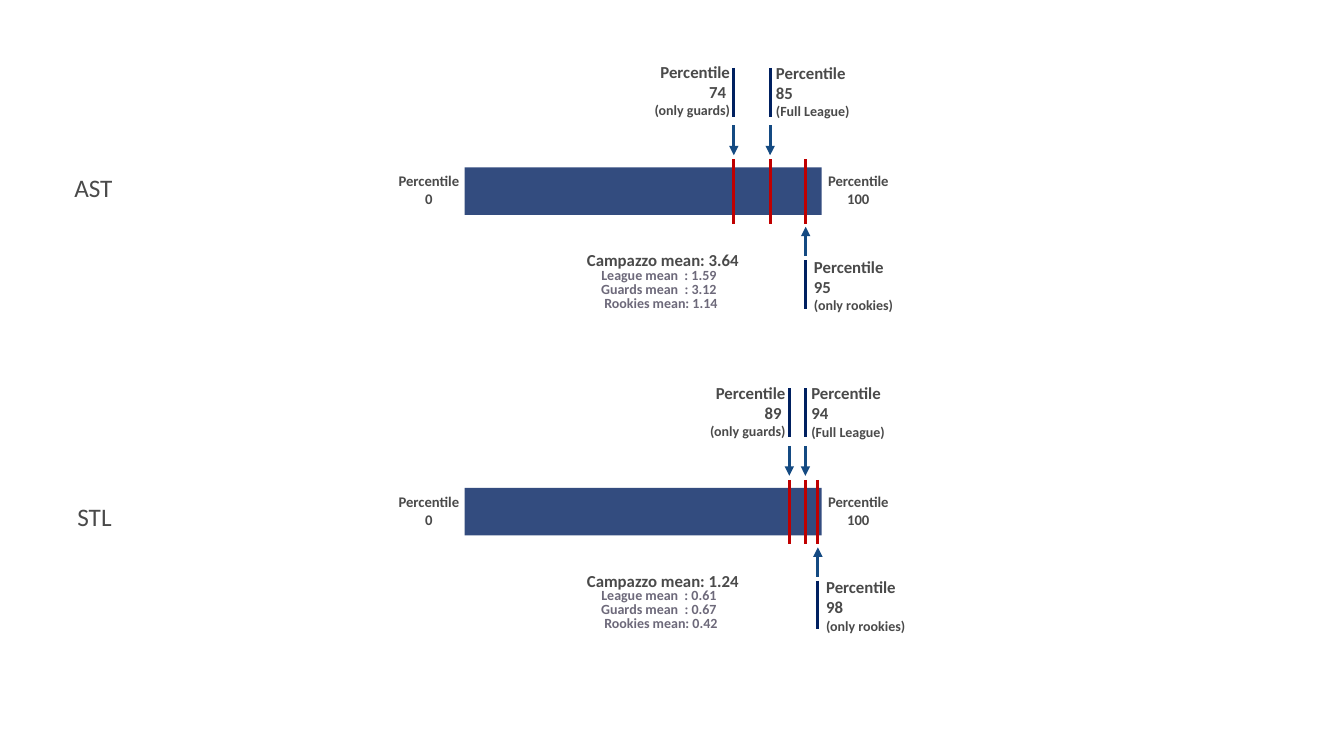
from lxml import etree
from pptx import Presentation
from pptx.dml.color import RGBColor
from pptx.enum.shapes import MSO_CONNECTOR, MSO_SHAPE
from pptx.enum.text import MSO_AUTO_SIZE, PP_ALIGN
from pptx.oxml.ns import qn
from pptx.util import Pt

NAVY = RGBColor(0x00, 0x20, 0x60)
BLUE = RGBColor(0x14, 0x4A, 0x82)
RED = RGBColor(0xC0, 0x00, 0x00)
TEXT = RGBColor(0x4A, 0x4A, 0x4A)
MUTED = RGBColor(0x6D, 0x69, 0x7A)

LEFT, CENTER, RIGHT = PP_ALIGN.LEFT, PP_ALIGN.CENTER, PP_ALIGN.RIGHT
RECTANGLE = MSO_SHAPE.RECTANGLE
STRAIGHT = MSO_CONNECTOR.STRAIGHT
GROW = MSO_AUTO_SIZE.SHAPE_TO_FIT_TEXT

BAR_X, BAR_W, BAR_H = 332, 255, 34
CALLOUT_W = 137.5


class Builder:
    """Holds the style and the shapes of the slide or group being filled."""
    font = "Calibri"

    def __init__(self, slide):
        self.slide = slide
        self.shapes = slide.shapes

    def start_group(self):
        self.shapes = self.slide.shapes.add_group_shape().shapes

    def end_group(self):
        self.shapes = self.slide.shapes

    def bar(self, x, y, w, h, color, opacity):
        sp = self.shapes.add_shape(RECTANGLE, Pt(x), Pt(y), Pt(w), Pt(h))
        sp.shadow.inherit = False
        sp.line.fill.background()
        sp.fill.solid()
        sp.fill.fore_color.rgb = color
        clr = sp.fill._xPr.find(qn("a:solidFill"))[0]
        etree.SubElement(clr, qn("a:alpha")).set("val", str(opacity * 1000))

    def text(self, x, y, w, h, lines, sizes, align=CENTER, color=TEXT, bold=True):
        sp = self.shapes.add_textbox(Pt(x), Pt(y), Pt(w), Pt(h))
        tf = sp.text_frame
        tf.word_wrap = True
        tf.auto_size = GROW
        tf.text = "\n".join(lines)
        for p, size in zip(tf.paragraphs, sizes):
            p.alignment = align
            for r in p.runs:
                r.font.name = self.font
                r.font.size = Pt(size)
                r.font.bold = bold
                r.font.color.rgb = color

    def vline(self, x, y1, y2, color, width=2.25, arrow=False):
        cn = self.shapes.add_connector(STRAIGHT, Pt(x), Pt(y1), Pt(x), Pt(y2))
        cn.line.color.rgb = color
        cn.line.width = Pt(width)
        if arrow:
            ln = cn.line._get_or_add_ln()
            etree.SubElement(ln, qn("a:tailEnd")).set("type", "triangle")
        etree.SubElement(cn._element.spPr, qn("a:effectLst"))

    def callout(self, x, y, value, group, align, text_x, text_y, stem, arrow):
        """Red mark on the bar, arrow, stem and three-line label; y is the bar top."""
        self.vline(x, y - 5.7, y + 40.3, RED, 2)
        self.vline(x, y + arrow[0], y + arrow[1], BLUE, arrow=True)
        self.vline(x, y + stem[0], y + stem[1], NAVY)
        self.text(x + text_x, y + text_y, CALLOUT_W, 49,
                  ["Percentile", f"{value} ", f"({group})"], [12, 12, 10], align)

    def percentile_row(self, y, marks, means):
        self.start_group()
        self.bar(BAR_X, y, BAR_W, BAR_H, NAVY, 80)

        # Ends of the scale
        for x, value in ((248.4, "0"), (555.1, "100")):
            self.text(x, y, 116, 33, ["Percentile", value], [10.5, 10.5])

        # Percentile callouts
        for (x, value), style in zip(marks, CALLOUTS):
            self.callout(x, y, value, *style)

        # Means
        player, *others = means
        self.text(371.5, y + 55.5, 204, 22, [f"Campazzo mean: {player}"], [12])
        labels = ("League mean  ", "Guards mean  ", "Rookies mean")
        for i, (label, mean) in enumerate(zip(labels, others)):
            x = 370 if label.startswith("Rookies") else 368.6
            self.text(x, y + 67 + 10 * i, 204, 19, [f"{label}: {mean}"], [10],
                      color=MUTED)
        self.end_group()


# Group, alignment, label offsets, stem span, arrow span
ABOVE = ((-71, -36), (-30, -8.6))
BELOW = ((66.3, 101), (63.4, 42.5))
CALLOUTS = [
    ("only guards", RIGHT, 4.3 - CALLOUT_W, -79, *ABOVE),
    ("Full League", LEFT, -2.9, -78.5, *ABOVE),
    ("only rookies", LEFT, -1.2, 60, *BELOW),
]

# Name, name position, bar top, marks (x, percentile), means
STATS = [
    ("AST", 46, 119.5, 119.5,
     [(524.2, 74), (550.1, 85), (575.5, 95)], ["3.64", "1.59", "3.12", "1.14"]),
    ("STL", 48.2, 354.2, 348.5,
     [(563.8, 89), (575.3, 94), (584.2, 98)], ["1.24", "0.61", "0.67", "0.42"]),
]

prs = Presentation()
prs.slide_width, prs.slide_height = Pt(960), Pt(540)
s = Builder(prs.slides.add_slide(prs.slide_layouts[6]))

for name, name_x, name_y, bar_y, marks, means in STATS:
    s.percentile_row(bar_y, marks, means)
    s.text(name_x, name_y, 177, 29, [name], [18], LEFT, bold=False)

prs.save("out.pptx")
